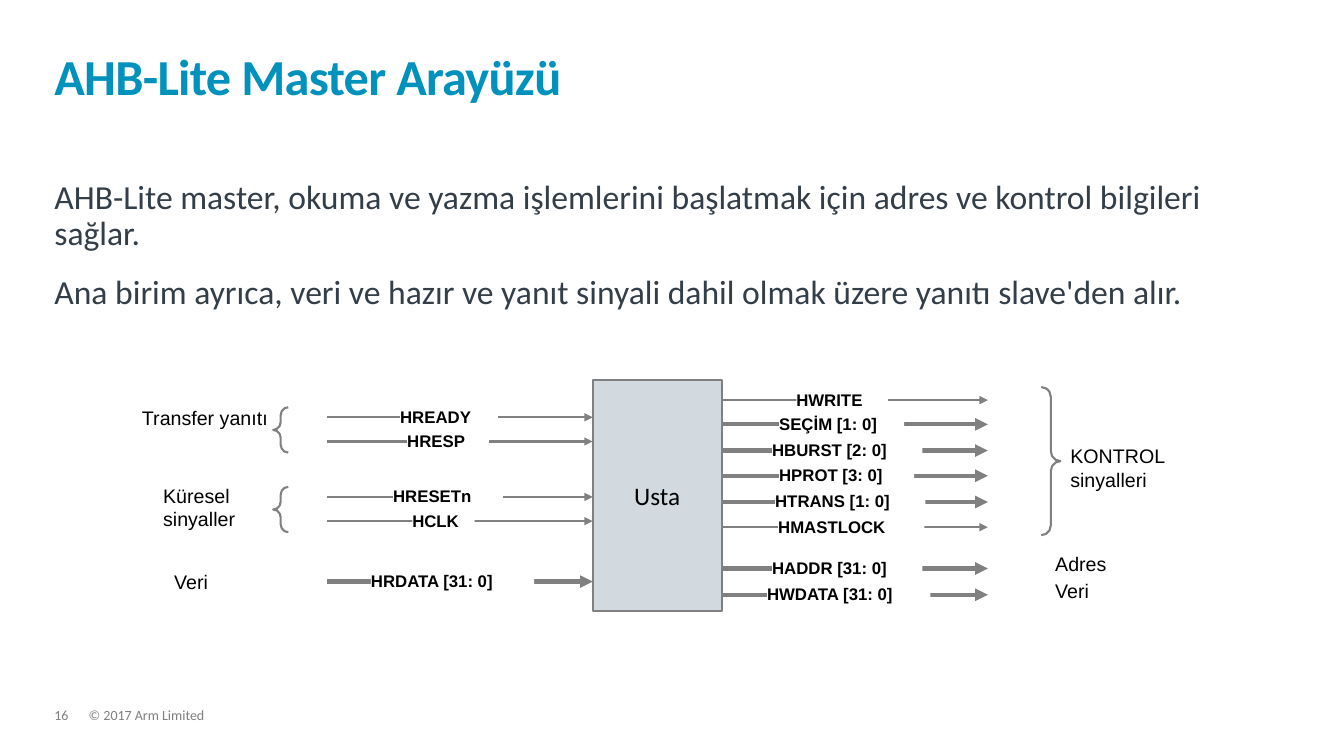
from lxml import etree
from pptx import Presentation
from pptx import util as u
from pptx.dml.color import RGBColor
from pptx.enum import shapes, text
from pptx.oxml.ns import qn

# The slide is a grid of 40 columns by 22.5 rows of square cells.
CELL = u.Inches(1) / 3
COLORS = {"title": "0091BD", "body": "333E48", "footer": "7F7F7F",
          "line": "808080", "master": "D2D9DF", "label": "FFFFFF",
          "black": "000000"}
MARGIN, CONTENT_WIDTH = 1.62, 36.69
MASTER = (17.64, 11.31, 3.84, 6.87)
ARROW_LENGTH = 7.92
LABEL_HEIGHT = 0.6

# Signal name, row of its arrow, label column, label width
INPUTS = [
    ("HREADY", 12.42, 11.91, 2.91),
    ("HRESP", 13.14, 12.12, 2.43),
    ("HRESETn", 14.79, 11.7, 3.27),
    ("HCLK", 15.51, 12.27, 1.86),
    ("HRDATA [31: 0]", 17.31, 11.04, 4.86),
]
OUTPUTS = [
    ("HWRITE", 11.91, 23.7, 2.73),
    ("SEÇİM [1: 0]", 12.63, 23.19, 3.72),
    ("HBURST [2: 0]", 13.41, 22.98, 4.47),
    ("HPROT [3: 0]", 14.16, 23.19, 4.02),
    ("HTRANS [1: 0]", 14.94, 23.07, 4.47),
    ("HMASTLOCK", 15.69, 23.16, 4.35),
    ("HADDR [31: 0]", 16.92, 22.98, 4.47),
    ("HWDATA [31: 0]", 17.7, 22.83, 4.86),
]
CAPTIONS = [
    ("Transfer yanıtı", 3.93, 11.94, 4.83, 1.71),
    ("Küresel sinyaller", 4.56, 14.25, 4.02, 1.71),
    ("Veri", 4.89, 16.83, 4.02, 1.02),
    ("KONTROL sinyalleri", 31.56, 13.08, 4.83, 1.71),
    ("Adres", 31.11, 16.29, 4.83, 1.02),
    ("Veri", 31.11, 17.07, 4.83, 1.02),
]
BRACES = [
    (shapes.MSO_SHAPE.LEFT_BRACE, 8.13, 12.12, 0.45, 1.35),
    (shapes.MSO_SHAPE.LEFT_BRACE, 8.13, 14.49, 0.45, 1.35),
    (shapes.MSO_SHAPE.RIGHT_BRACE, 30.99, 11.52, 0.57, 4.41),
]


def cells(*counts):
    return [u.Emu(round(n * CELL)) for n in counts]


def rgb(name):
    return RGBColor.from_string(COLORS[name])


def write(sp, paragraphs, size, font="Calibri", color="black", bold=False,
          spacing=None, after=0, inset=True, wrap=True):
    """Fill a shape with equally formatted paragraphs and return them."""
    tf = sp.text_frame
    tf.auto_size = text.MSO_AUTO_SIZE.NONE
    tf.word_wrap = wrap
    if not inset:
        tf.margin_left = tf.margin_top = tf.margin_right = tf.margin_bottom = 0
    tf.text = "\n".join(paragraphs)
    for p in tf.paragraphs:
        p.alignment = text.PP_ALIGN.LEFT
        p.line_spacing = spacing
        p.space_after = u.Pt(after)
        p.font.name, p.font.size, p.font.bold = font, u.Pt(size), bold
        p.font.color.rgb = rgb(color)
    return tf.paragraphs


def add_title(s, words):
    sp = s.shapes.title
    sp.left, sp.top, sp.width, sp.height = cells(MARGIN, 0.96, CONTENT_WIDTH, 2.19)
    p = write(sp, [words], 36, color="title", bold=True, spacing=0.85, inset=False)[0]
    p._p.pPr.find(qn("a:defRPr")).set("spc", "-50")
    sp.text_frame.vertical_anchor = text.MSO_ANCHOR.BOTTOM


def add_text(s, box, paragraphs, size, **style):
    write(s.shapes.add_textbox(*cells(*box)), paragraphs, size, **style)


def add_box(s, box, fill):
    sp = s.shapes.add_shape(shapes.MSO_SHAPE.RECTANGLE, *cells(*box))
    sp.shadow.inherit = False
    sp.fill.solid()
    sp.fill.fore_color.rgb = rgb(fill)
    sp.line.fill.background()
    return sp


def add_master(s):
    sp = add_box(s, MASTER, "master")
    sp.line.color.rgb = rgb("line")
    sp.line.width = u.Pt(1.5)
    p = write(sp, ["Usta"], 18, wrap=False)[0]
    p.alignment = text.PP_ALIGN.CENTER
    sp.text_frame.vertical_anchor = text.MSO_ANCHOR.MIDDLE


def add_signal(s, start, name, row, label_column, label_width):
    """Draw an arrow, thick for a bus, with its name laid over it."""
    c = s.shapes.add_connector(shapes.MSO_CONNECTOR.STRAIGHT,
                               *cells(start, row, start + ARROW_LENGTH, row))
    c.line.color.rgb = rgb("line")
    c.line.width = u.Pt(3 if "[" in name else 1.5)
    etree.SubElement(c.line._get_or_add_ln(), qn("a:tailEnd"), type="triangle")
    etree.SubElement(c._element.spPr, qn("a:effectLst"))
    label = add_box(s, (label_column, row - 0.32, label_width, LABEL_HEIGHT), "label")
    write(label, [name], 12, font="Arial", bold=True, inset=False)
    label.text_frame.vertical_anchor = text.MSO_ANCHOR.TOP


def add_brace(s, kind, *box):
    sp = s.shapes.add_shape(kind, *cells(*box))
    sp.shadow.inherit = False
    sp.adjustments[0] = 0.52
    sp.fill.background()
    sp.line.color.rgb = rgb("line")
    sp.line.width = u.Pt(1.5)


def main():
    prs = Presentation()
    prs.slide_width, prs.slide_height = cells(40, 22.5)
    s = prs.slides.add_slide(prs.slide_layouts.get_by_name("Title Only"))

    add_title(s, "AHB-Lite Master Arayüzü")
    add_text(s, (MARGIN, 5.37, CONTENT_WIDTH, 13.41), [
        "AHB-Lite master, okuma ve yazma işlemlerini başlatmak için adres ve "
        "kontrol bilgileri sağlar.",
        "Ana birim ayrıca, veri ve hazır ve yanıt sinyali dahil olmak üzere "
        "yanıtı slave'den alır.",
    ], 24, color="body", spacing=0.9, after=16, inset=False)

    add_master(s)
    left, _, width, _ = MASTER
    for signal in OUTPUTS:
        add_signal(s, left + width, *signal)
    for signal in INPUTS:
        add_signal(s, left - ARROW_LENGTH, *signal)
    for brace in BRACES:
        add_brace(s, *brace)
    for words, *box in CAPTIONS:
        add_text(s, box, [words], 14, font="Arial")

    for words, column, columns in (("16", MARGIN, 1.02),
                                   ("© 2017 Arm Limited", 2.64, 27.39)):
        add_text(s, (column, 21.09, columns, 0.45), [words], 10,
                 color="footer", spacing=0.9, inset=False)
    prs.save("out.pptx")


if __name__ == "__main__":
    main()
